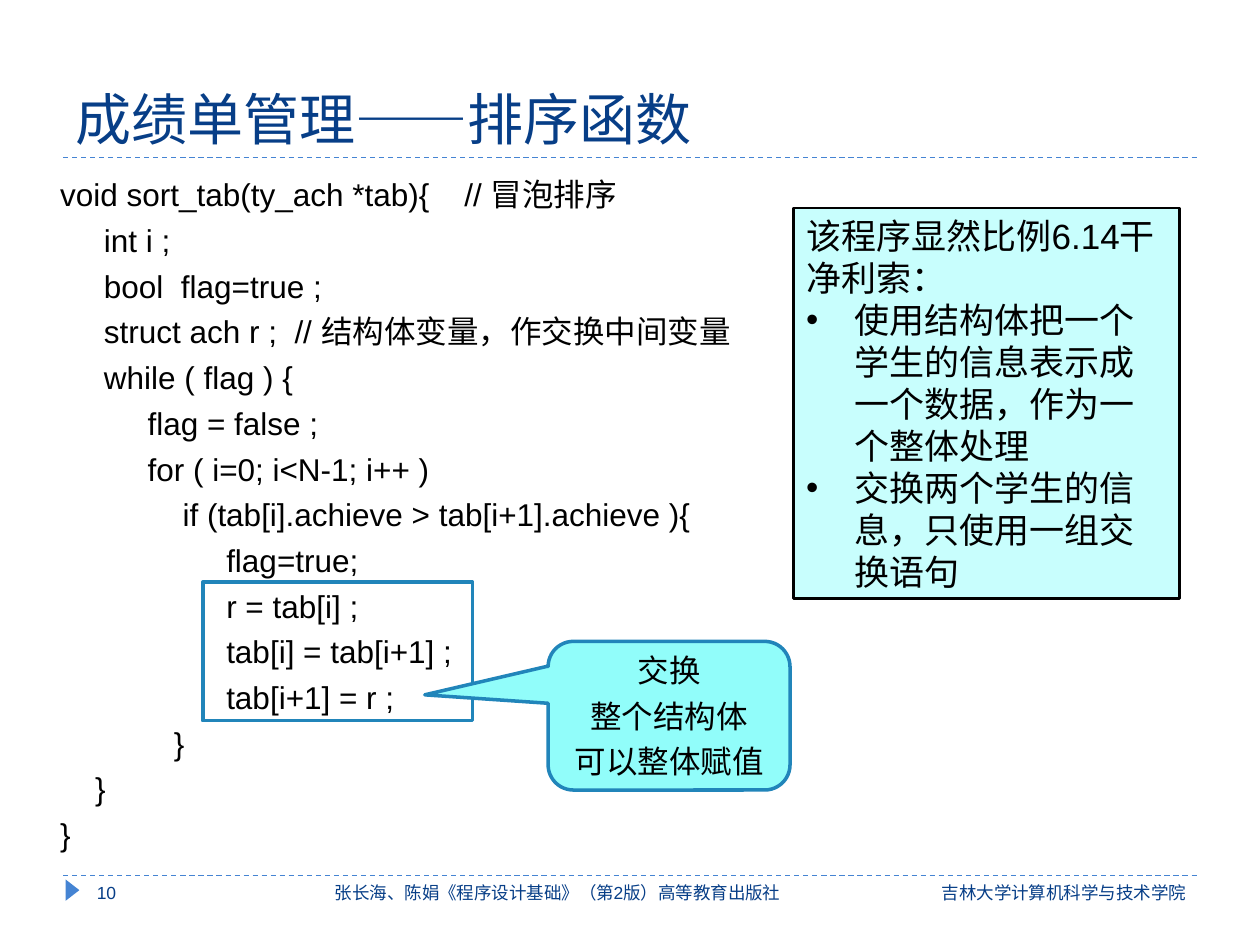
from lxml import etree
from pptx import Presentation, util as u
from pptx.dml.color import RGBColor
from pptx.enum import dml, shapes, text
from pptx.oxml.ns import qn

SLIDE_W, SLIDE_H = 10, 7.5
MARGIN = SLIDE_W / 20
TITLE_RULE, FOOTER_RULE = SLIDE_H / 6, 6.95
NAVY, SKY, STEEL, BLACK = "073E87", "4584D3", "2185BA", "000000"
PALE, AQUA = "C8FEFD", "91FDFA"

CODE = """void sort_tab(ty_ach *tab){    // 冒泡排序
     int i ;
     bool  flag=true ;
     struct ach r ;  // 结构体变量，作交换中间变量
     while ( flag ) {
          flag = false ;
          for ( i=0; i<N-1; i++ )
              if (tab[i].achieve > tab[i+1].achieve ){
                   flag=true;
                   r = tab[i] ;
                   tab[i] = tab[i+1] ;
                   tab[i+1] = r ;
             }
    }
}""".split("\n")
REMARKS = [
    "该程序显然比例6.14干净利索：",
    "使用结构体把一个学生的信息表示成一个数据，作为一个整体处理",
    "交换两个学生的信息，只使用一组交换语句",
]
SWAP_NOTE = ["交换", "整个结构体", "可以整体赋值"]


def colour(hex_code):
    return RGBColor.from_string(hex_code)


def inches(*lengths):
    return [u.Inches(length) for length in lengths]


def set_all(target, values):
    for name, value in values.items():
        setattr(target, name, value)


def add_bullet(paragraph, indent=0.38):
    props = paragraph._p.get_or_add_pPr()
    props.set("marL", str(u.Inches(indent)))
    props.set("indent", str(-u.Inches(indent)))
    etree.SubElement(props, qn("a:buFont")).set("typeface", "Arial")
    etree.SubElement(props, qn("a:buChar")).set("char", "•")


def write(shape, lines, size, ink=BLACK, align=text.PP_ALIGN.LEFT,
          anchor=text.MSO_ANCHOR.MIDDLE, gap=0, bullets_from=None):
    frame = shape.text_frame
    set_all(frame, {"word_wrap": True, "vertical_anchor": anchor})
    for i, line in enumerate(lines):
        paragraph = frame.paragraphs[0] if i == 0 else frame.add_paragraph()
        paragraph.alignment = align
        if i and gap:
            paragraph.space_before = u.Pt(gap)
        if bullets_from is not None and i >= bullets_from:
            add_bullet(paragraph)
        run = paragraph.add_run()
        run.text = line
        set_all(run.font, {"size": u.Pt(size), "name": "Arial"})
        run.font.color.rgb = colour(ink)


def add_label(slide, box, lines, size, **style):
    write(slide.shapes.add_textbox(*inches(*box)), lines, size, **style)


def add_panel(slide, kind, box, fill=None, line=None, width=2):
    panel = slide.shapes.add_shape(kind, *inches(*box))
    panel.shadow.inherit = False
    if fill:
        panel.fill.solid()
        panel.fill.fore_color.rgb = colour(fill)
    else:
        panel.fill.background()
    if line:
        panel.line.color.rgb = colour(line)
        panel.line.width = u.Pt(width)
    else:
        panel.line.fill.background()
    return panel


def add_rule(slide, y):
    rule = slide.shapes.add_connector(
        shapes.MSO_CONNECTOR.STRAIGHT, *inches(MARGIN, y, SLIDE_W - MARGIN, y))
    rule.line.color.rgb = colour(SKY)
    set_all(rule.line, {"width": u.Pt(0.75), "dash_style": dml.MSO_LINE.DASH})
    etree.SubElement(rule._element.spPr, qn("a:effectLst"))


def add_footer(slide):
    marker = add_panel(slide, shapes.MSO_SHAPE.ISOSCELES_TRIANGLE,
                       (0.49, 7.01, 0.17, 0.11), SKY)
    marker.rotation = 90
    align = text.PP_ALIGN
    for left, width, words, side in [
        (0.67, 1.1, "10", align.LEFT),
        (1.85, 5.15, "张长海、陈娟《程序设计基础》（第2版）高等教育出版社", align.CENTER),
        (7.05, 2.46, "吉林大学计算机科学与技术学院", align.RIGHT),
    ]:
        add_label(slide, (left, FOOTER_RULE, width, 0.4), [words], 10,
                  ink=NAVY, align=side, anchor=text.MSO_ANCHOR.TOP)


def main():
    deck = Presentation()
    set_all(deck, {"slide_width": u.Inches(SLIDE_W),
                   "slide_height": u.Inches(SLIDE_H)})
    slide = deck.slides.add_slide(deck.slide_layouts[6])

    # Title and footer with their dashed rules
    for y in (TITLE_RULE, FOOTER_RULE):
        add_rule(slide, y)
    add_label(slide, (MARGIN, 0.17, SLIDE_W - 2 * MARGIN, 1.08),
              ["成绩单管理——排序函数"], 32, ink=NAVY,
              anchor=text.MSO_ANCHOR.BOTTOM)
    add_footer(slide)

    # Sorting function
    add_label(slide, (0.38, 1.34, 7.06, 5.48), CODE, 18, gap=4.5)

    # Remarks on the program
    remarks = add_panel(slide, shapes.MSO_SHAPE.RECTANGLE,
                        (6.3, 1.65, 3.06, 3.1), PALE, BLACK, 1.5)
    write(remarks, REMARKS, 20, bullets_from=1)

    # Frame around the swap and its callout
    add_panel(slide, shapes.MSO_SHAPE.RECTANGLE,
              (1.61, 4.62, 2.14, 1.1), line=STEEL)
    callout = add_panel(slide, shapes.MSO_SHAPE.ROUNDED_RECTANGULAR_CALLOUT,
                        (4.35, 5.09, 1.92, 1.18), AQUA, STEEL)
    for i, value in enumerate((-1.01, -0.14, 0.17)):
        callout.adjustments[i] = value
    write(callout, SWAP_NOTE, 18, align=text.PP_ALIGN.CENTER, gap=4.5)

    deck.save("out.pptx")


if __name__ == "__main__":
    main()
